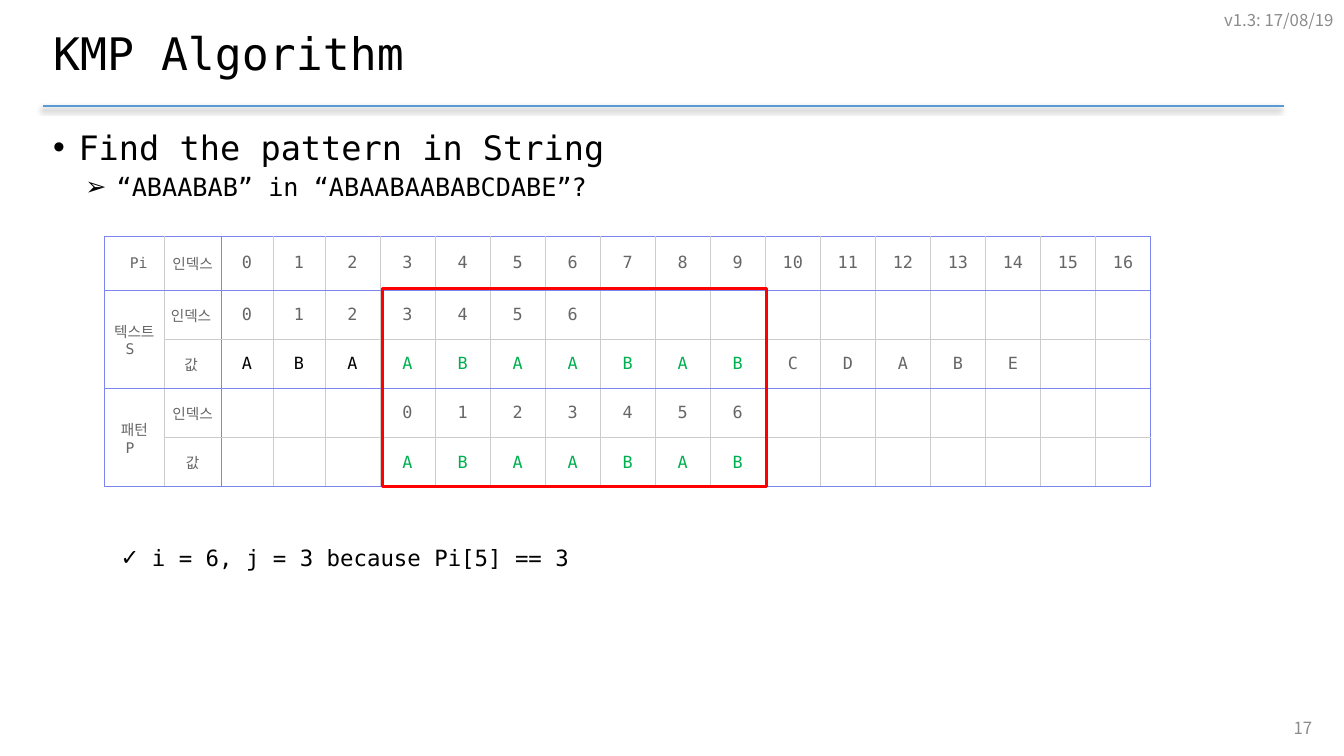
from lxml import etree
from pptx import Presentation
from pptx import util as u
from pptx.dml import color
from pptx.enum import shapes, text
from pptx.oxml import ns


def rgb(value):
    """Turn a hex string into a colour."""
    return color.RGBColor.from_string(value)


def sub(parent, tag, **attrs):
    """Append a drawing element with the given attributes."""
    return etree.SubElement(parent, ns.qn("a:" + tag), {k: str(v) for k, v in attrs.items()})


class Deck:
    """Hold the style and the current slide."""

    MONO, SANS = "DejaVu Sans Mono", "Noto Sans CJK KR"
    BLACK, GREY, GREEN, PALE = "000000", "666666", "00B050", "8C8C8C"
    GRID, FRAME, RULE, RED = "CCCCCC", "7C84EF", "5B9BD5", "FF0000"

    def __init__(self):
        """Open a wide presentation with one blank slide."""
        self.prs = Presentation()
        self.prs.slide_width, self.prs.slide_height = u.Cm(33.87), u.Cm(19.05)
        self.s = self.prs.slides.add_slide(self.prs.slide_layouts[6])

    def run(self, p, words, size, fill, font=MONO):
        """Add one styled run to a paragraph."""
        r = p.add_run()
        r.text = words
        r.font.size, r.font.name = u.Pt(size), font
        r.font.color.rgb = rgb(fill)
        sub(r.font._element, "ea", typeface=self.SANS)

    def box(self, x, y, w, h, anchor=text.MSO_ANCHOR.MIDDLE):
        """Add a wrapping text box and return its frame."""
        tf = self.s.shapes.add_textbox(u.Cm(x), u.Cm(y), u.Cm(w), u.Cm(h)).text_frame
        tf.word_wrap, tf.vertical_anchor = True, anchor
        return tf

    def label(self, x, y, w, words):
        """Add a pale right-aligned label."""
        p = self.box(x, y, w, 1.02).paragraphs[0]
        p.alignment = text.PP_ALIGN.RIGHT
        self.run(p, words, 12, self.PALE, self.SANS)

    def title(self, words):
        """Add the slide title."""
        p = self.box(1.09, 0.46, 31.27, 1.88).paragraphs[0]
        p.line_spacing = 0.9
        self.run(p, words, 32, self.BLACK)

    def bullets(self, items):
        """Add the body outline from (mark, words, size, indent, hang, space before)."""
        tf = self.box(1.09, 3.18, 31.27, 15.14, text.MSO_ANCHOR.TOP)
        for level, (mark, words, size, left, hang, before) in enumerate(items):
            p = tf.add_paragraph() if level else tf.paragraphs[0]
            pPr = p._p.get_or_add_pPr()
            pPr.set("marL", str(u.Cm(left)))
            pPr.set("indent", str(-u.Cm(hang)))
            sub(pPr, "buFont", typeface="Arial")
            sub(pPr, "buChar", char=mark)
            p.level, p.line_spacing, p.space_before = level, 0.9, u.Pt(before)
            self.run(p, words, size, self.BLACK)

    def rule(self, x1, x2, y):
        """Add the shadowed line under the title."""
        line = self.s.shapes.add_connector(
            shapes.MSO_CONNECTOR.STRAIGHT, u.Cm(x1), u.Cm(y), u.Cm(x2), u.Cm(y))
        line.line.color.rgb, line.line.width = rgb(self.RULE), u.Pt(1.5)
        effects = sub(line._element.spPr, "effectLst")
        shadow = sub(effects, "outerShdw", blurRad=u.Pt(4), dist=u.Pt(3),
                     dir=135 * 60000, algn="tr", rotWithShape=0)
        sub(sub(shadow, "prstClr", val="black"), "alpha", val=40000)

    def frame(self, x, y, w, h):
        """Add an unfilled red rectangle."""
        sp = self.s.shapes.add_shape(
            shapes.MSO_SHAPE.RECTANGLE, u.Cm(x), u.Cm(y), u.Cm(w), u.Cm(h))
        sp.shadow.inherit = False
        sp.fill.background()
        sp.line.color.rgb, sp.line.width = rgb(self.RED), u.Pt(2.25)

    def cell(self, cell, lines, size, fill, framed):
        """Style a table cell; framed lists the sides with a group border."""
        tcPr = cell._tc.get_or_add_tcPr()
        for side in "LRTB":
            ln = sub(tcPr, "ln" + side, w=u.Pt(0.75))
            shade = self.FRAME if side in framed else self.GRID
            sub(sub(ln, "solidFill"), "srgbClr", val=shade)
        cell.fill.solid()
        cell.fill.fore_color.rgb = rgb("FFFFFF")
        cell.margin_left = cell.margin_right = cell.margin_top = cell.margin_bottom = 0
        cell.vertical_anchor = text.MSO_ANCHOR.MIDDLE
        for i, words in enumerate(lines):
            p = cell.text_frame.add_paragraph() if i else cell.text_frame.paragraphs[0]
            p.alignment = text.PP_ALIGN.CENTER
            if words:
                self.run(p, words, size, fill)

    def table(self, x, y, widths, heights, rows, fill_of):
        """Add the matching table with merged group names in the first column."""
        t = self.s.shapes.add_table(len(rows), len(widths), u.Cm(x), u.Cm(y),
                                    u.Cm(sum(widths)), u.Cm(sum(heights))).table
        t.first_row = t.horz_banding = False
        for col, w in zip(t.columns, widths):
            col.width = u.Cm(w)
        for row, h in zip(t.rows, heights):
            row.height = u.Cm(h)
        last = len(widths) - 1
        for r, row in enumerate(rows):
            for c, words in enumerate(row):
                framed = ("L" if c in (0, 2) else "") + ("R" if c in (1, last) else "")
                framed += "T" if r in (0, 1, 3) else ""
                framed += "B" if r in (0, 2, 4) or c == 0 else ""
                size = 10.5 if c < 2 else 12
                self.cell(t.cell(r, c), words.split("\n"), size, fill_of(r, c - 2), framed)
        for top in (1, 3):
            t.cell(top, 0).merge(t.cell(top + 1, 0))


def main():
    """Build and save the slide."""
    d = Deck()
    pattern, string, slots, start = "ABAABAB", "ABAABAABABCDABE", 17, 3

    def row(group, kind, values, skip=0):
        """Pad one row of values to the full number of slots."""
        cells = [""] * skip + [str(v) for v in values]
        return [group, kind] + cells + [""] * (slots - len(cells))

    def fill_of(r, slot):
        """Choose the text colour of a slot."""
        if r in (2, 4) and start <= slot < start + len(pattern):
            return d.GREEN
        return d.BLACK if r == 2 and 0 <= slot < start else d.GREY

    d.rule(1.09, 32.36, 2.67)
    d.title("KMP Algorithm")
    d.bullets([
        ("•", "Find the pattern in String", 24, 0.64, 0.64, 0),
        ("➢", "“ABAABAB” in “ABAABAABABCDABE”?", 18, 1.6, 0.79, 5),
        ("✓", "i = 6, j = 3 because Pi[5] == 3", 16, 2.49, 0.79, 247),
    ])
    d.label(22.43, 0, 11.43, "v1.3: 17/08/19")
    rows = [
        row(" Pi", "인덱스", range(slots)),
        row("텍스트\nS ", "인덱스 ", range(len(pattern))),
        row("", "값 ", string),
        row("패턴\nP ", "인덱스", range(len(pattern)), start),
        row("", "값", pattern, start),
    ]
    heads = [1.51, 1.43, 1.31, 1.31]
    step = (26.37 - sum(heads)) / 15
    d.table(2.63, 5.95, heads + [step] * 15, [1.36] + [1.24] * 4, rows, fill_of)
    d.frame(9.63, 7.27, 9.68, 5)
    d.label(25.7, 17.83, 7.62, "17")
    d.prs.save("out.pptx")


if __name__ == "__main__":
    main()
